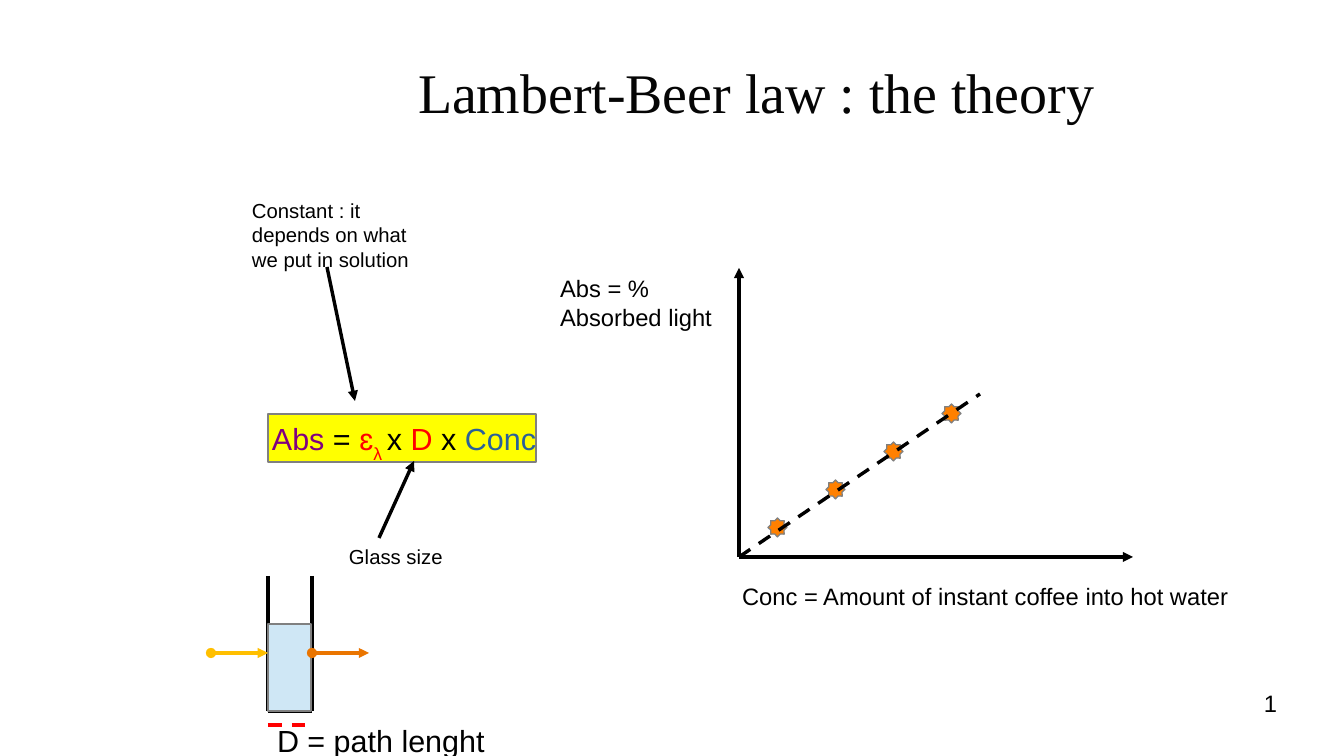
from lxml import etree
from pptx import Presentation
from pptx.dml.color import RGBColor as Color
from pptx.enum.dml import MSO_LINE as Dash
from pptx.enum.shapes import MSO_CONNECTOR as Link, MSO_SHAPE as Form
from pptx.enum.text import MSO_ANCHOR as Anchor, PP_ALIGN as Align
from pptx.oxml.ns import qn
from pptx.util import Pt

SCALE = 7495
BLACK, GREY, RED = "000000", "808080", "FF0000"


def px(*sizes):
    """Turn whole pixels into EMU."""
    return [size * SCALE for size in sizes]


def tint(hue):
    """Return the colour for a hex string."""
    return Color.from_string(hue)


def style(run, size, hue, face="Arial"):
    """Set the font of one run."""
    run.font.size, run.font.name = Pt(size), face
    run.font.color.rgb = tint(hue)


def label(slide, box, text, size, hue=BLACK, face="Arial", pad=(12, 6)):
    """Place a wrapped text box and return its frame."""
    frame = slide.shapes.add_textbox(*px(*box)).text_frame
    frame.word_wrap = True
    frame.margin_left = frame.margin_right = pad[0] * SCALE
    frame.margin_top = frame.margin_bottom = pad[1] * SCALE
    frame.text = text
    style(frame.paragraphs[0].runs[0], size, hue, face)
    return frame


def line(slide, ends, hue=BLACK, head=None, tail=None, dash=None):
    """Draw a hairline with optional ends and dashes."""
    link = slide.shapes.add_connector(Link.STRAIGHT, *px(*ends))
    link.line.color.rgb = tint(hue)
    link.line.width = Pt(0)
    if dash:
        link.line.dash_style = dash
    props = link._element.spPr
    for tag, kind in (("a:headEnd", head), ("a:tailEnd", tail)):
        if kind:
            etree.SubElement(props.find(qn("a:ln")), qn(tag), type=kind)
    etree.SubElement(props, qn("a:effectLst"))


def solid(slide, form, box, hue):
    """Draw a filled shape with a thin grey edge."""
    shape = slide.shapes.add_shape(form, *px(*box))
    shape.shadow.inherit = False
    shape.fill.solid()
    shape.fill.fore_color.rgb = tint(hue)
    shape.line.color.rgb = tint(GREY)
    shape.line.width = Pt(0)


def title(slide, box):
    """Place the centred title."""
    frame = label(slide, box, "Lambert-Beer law : the theory", 33, "050505",
                  "Times New Roman", (0, 0))
    frame.vertical_anchor = Anchor.MIDDLE
    frame.paragraphs[0].alignment = Align.CENTER


def law(slide, box):
    """Place the formula with its two remarks."""
    x, y, w, h = box
    solid(slide, Form.RECTANGLE, (x + 28, y + 222, 268, 48), "FFFF00")
    frame = label(slide, (x + 20, y + 222, w - 20, 56), "Abs", 18, "800080")
    terms = ((" = ", BLACK), ("ɛ", RED), ("λ ", RED), ("x ", BLACK),
             ("D", RED), (" x ", BLACK), ("Conc", "2A6099"))
    for text, hue in terms:
        run = frame.paragraphs[0].add_run()
        run.text = text
        style(run, 18, hue)
        if text == "λ ":
            run.font._element.set("baseline", "-33000")
    line(slide, (x + 87, y + 75, x + 115, y + 209), tail="triangle")
    label(slide, (x, y, 183, 81),
          "Constant : it depends on what we put in solution", 12)
    label(slide, (x + 97, y + h - 38, 124, 38), "Glass size", 12)
    line(slide, (x + 139, y + h - 38, x + 174, y + 269), tail="triangle")


def glass(slide, box):
    """Draw the filled glass, the light through it and its width."""
    x, y, w, h = box
    left, right, base, beam = x + 57, x + 101, y + 135, y + 77
    for side in (left, right):
        line(slide, (side, y, side, base))
    line(slide, (left, base, right, base))
    solid(slide, Form.RECTANGLE, (left, base - 87, 43, 87), "CFE7F5")
    for start, end, hue in ((x, left, "FFBF00"), (right, x + 158, "EA7500")):
        line(slide, (start, beam, end, beam), hue, "oval", "triangle")
    line(slide, (left, y + 149, right, y + 149), RED, dash=Dash.DASH)
    label(slide, (x + 54, y + h - 46, w - 54, 46), "D = path lenght", 18)


def graph(slide, box):
    """Draw the axes, the points and the trend."""
    x, y, w, h = box
    base = y + h
    line(slide, (x, base, x, y), tail="triangle")
    line(slide, (x, base, x + w, base), tail="triangle")
    label(slide, (x - 9, base + 19, 567, 48),
          "Conc = Amount of instant coffee into hot water", 14)
    label(slide, (x - 191, y, 201, 66), "Abs = % Absorbed light", 14)
    for step in range(4):
        spot = (x + 29 + 58 * step, base - 39 - 38 * step, 19, 19)
        solid(slide, Form.STAR_8_POINT, spot, "FF8000")
    line(slide, (x, base, x + 241, base - 163), dash=Dash.DASH)


def page(slide, box):
    """Place the page number."""
    frame = label(slide, box, "1", 14, pad=(0, 0))
    frame.paragraphs[0].alignment = Align.RIGHT


def main():
    """Build the slide and save it."""
    deck = Presentation()
    deck.slide_width, deck.slide_height = px(1344, 756)
    slide = deck.slides.add_slide(deck.slide_layouts[6])
    title(slide, (216, 29, 1081, 124))
    law(slide, (240, 192, 347, 384))
    glass(slide, (211, 576, 299, 186))
    graph(slide, (739, 268, 394, 289))
    page(slide, (964, 689, 313, 52))
    deck.save("out.pptx")


if __name__ == "__main__":
    main()
